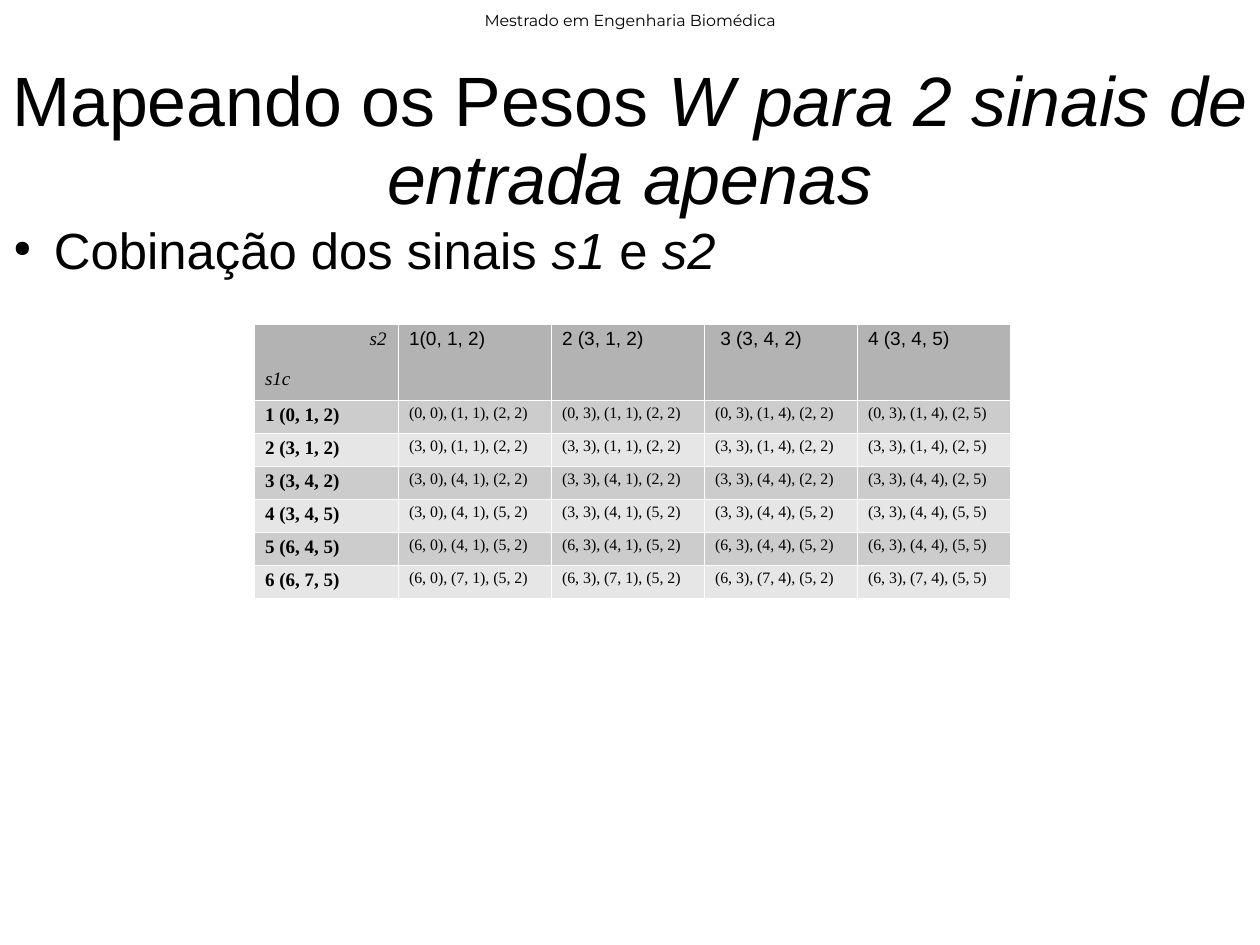
"""Builds the slide that maps the weights W for two input signals."""
from lxml import etree
from pptx import Presentation
from pptx import util as u
from pptx.dml.color import RGBColor
from pptx.enum import text
from pptx.oxml.ns import qn

COLOURS = {"text": "000000", "border": "FFFFFF", "header": "B3B3B3",
           "odd": "CCCCCC", "even": "E6E6E6"}
HEADING = [("Mestrado em Engenharia Biomédica", False)]
TITLE = [("Mapeando os Pesos ", False), ("W para 2 sinais de entrada apenas", True)]
BULLET = [("Cobinação dos sinais ", False), ("s1 ", True), ("e ", False), ("s2", True)]
AXES = ("s2", "s1c")
S2_STATES = [("1", (0, 1, 2)), ("2 ", (3, 1, 2)), (" 3 ", (3, 4, 2)), ("4 ", (3, 4, 5))]
S1_STATES = [(0, 1, 2), (3, 1, 2), (3, 4, 2), (3, 4, 5), (6, 4, 5), (6, 7, 5)]

WIDTH, HEIGHT = 28, 21
TABLE_LEFT, TABLE_TOP = 5.64, 7.2
COLUMN_WIDTHS = [3.2] + [3.4] * len(S2_STATES)
ROW_HEIGHTS = [1.67] + [0.73] * len(S1_STATES)
LINE_SPACING = 0.93
SERIF = "Times New Roman"
ALIGN = text.PP_ALIGN


def style(paragraph, font, size, align, spacing=LINE_SPACING, after=0,
          bold=False, italic=None):
    paragraph.alignment = align
    paragraph.line_spacing = spacing
    paragraph.space_before = u.Pt(0)
    paragraph.space_after = u.Pt(after)
    paragraph.font.name = font
    paragraph.font.size = u.Pt(size)
    paragraph.font.bold = bold
    paragraph.font.italic = italic
    paragraph.font.color.rgb = RGBColor.from_string(COLOURS["text"])


def add_text(slide, top, height, runs, margins, anchor):
    box = slide.shapes.add_textbox(0, u.Cm(top), u.Cm(WIDTH), u.Cm(height))
    frame = box.text_frame
    frame.word_wrap = True
    frame.vertical_anchor = anchor
    frame.margin_left = frame.margin_right = u.Cm(margins[0])
    frame.margin_top, frame.margin_bottom = u.Cm(margins[1]), u.Cm(margins[2])
    paragraph = frame.paragraphs[0]
    for words, italic in runs:
        run = paragraph.add_run()
        run.text = words
        if italic:
            run.font.italic = True
    return paragraph


def add_bullet(paragraph):
    properties = paragraph._p.get_or_add_pPr()
    properties.set("marL", str(u.Cm(1.2)))
    properties.set("indent", str(u.Cm(-0.9)))
    colour = etree.SubElement(properties, qn("a:buClr"))
    etree.SubElement(colour, qn("a:srgbClr"), val=COLOURS["text"])
    etree.SubElement(properties, qn("a:buSzPct"), val="45000")
    etree.SubElement(properties, qn("a:buChar"), char="●")


def fill_cell(cell, words, colour):
    cell.text_frame.text = words
    cell.margin_left = cell.margin_right = u.Cm(0.25)
    cell.margin_top = cell.margin_bottom = u.Cm(0.13)
    properties = cell._tc.get_or_add_tcPr()
    for side in ("lnL", "lnR", "lnT", "lnB"):
        line = etree.SubElement(properties, qn(f"a:{side}"), w=str(u.Pt(0.06)))
        solid = etree.SubElement(line, qn("a:solidFill"))
        etree.SubElement(solid, qn("a:srgbClr"), val=COLOURS["border"])
    cell.fill.solid()
    cell.fill.fore_color.rgb = RGBColor.from_string(COLOURS[colour])
    return cell.text_frame.paragraphs


def add_weights(slide):
    frame = slide.shapes.add_table(
        len(ROW_HEIGHTS), len(COLUMN_WIDTHS), u.Cm(TABLE_LEFT), u.Cm(TABLE_TOP),
        u.Cm(sum(COLUMN_WIDTHS)), u.Cm(sum(ROW_HEIGHTS)))
    table = frame.table
    table.first_row = table.horz_banding = False
    for column, width in zip(table.columns, COLUMN_WIDTHS):
        column.width = u.Cm(width)
    for row, height in zip(table.rows, ROW_HEIGHTS):
        row.height = u.Cm(height)

    across, down = fill_cell(table.cell(0, 0), "\n".join(AXES), "header")
    style(across, SERIF, 12, ALIGN.RIGHT, after=6.9, italic=True)
    style(down, SERIF, 12, ALIGN.JUSTIFY, spacing=1.39, after=6.9, italic=True)
    for c, (label, s2) in enumerate(S2_STATES, 1):
        paragraph, = fill_cell(table.cell(0, c), f"{label}{s2}", "header")
        style(paragraph, "Arial", 12, ALIGN.LEFT)
    for r, s1 in enumerate(S1_STATES, 1):
        band = "odd" if r % 2 else "even"
        paragraph, = fill_cell(table.cell(r, 0), f"{r} {s1}", band)
        style(paragraph, SERIF, 12, ALIGN.JUSTIFY, after=6.9, bold=True)
        for c, (_, s2) in enumerate(S2_STATES, 1):
            pairs = ", ".join(str(pair) for pair in zip(s1, s2))
            paragraph, = fill_cell(table.cell(r, c), pairs, band)
            style(paragraph, SERIF, 10, ALIGN.JUSTIFY, after=6.9)


def main():
    presentation = Presentation()
    presentation.slide_width, presentation.slide_height = u.Cm(WIDTH), u.Cm(HEIGHT)
    slide = presentation.slides.add_slide(presentation.slide_layouts[6])
    middle, top = text.MSO_ANCHOR.MIDDLE, text.MSO_ANCHOR.TOP

    heading = add_text(slide, 0.05, 0.74, HEADING, (0.25, 0.13, 0.13), middle)
    style(heading, "Montserrat", 10, ALIGN.CENTER, spacing=1.18)
    title = add_text(slide, 1.37, 3.48, TITLE, (0, 0.1, 0), middle)
    style(title, "Arial", 44, ALIGN.CENTER)
    bullet = add_text(slide, 4.9, 16.08, BULLET, (0, 0.08, 0), top)
    add_bullet(bullet)
    style(bullet, "Arial", 32, ALIGN.LEFT, after=14.3)
    add_weights(slide)
    presentation.save("out.pptx")


if __name__ == "__main__":
    main()
